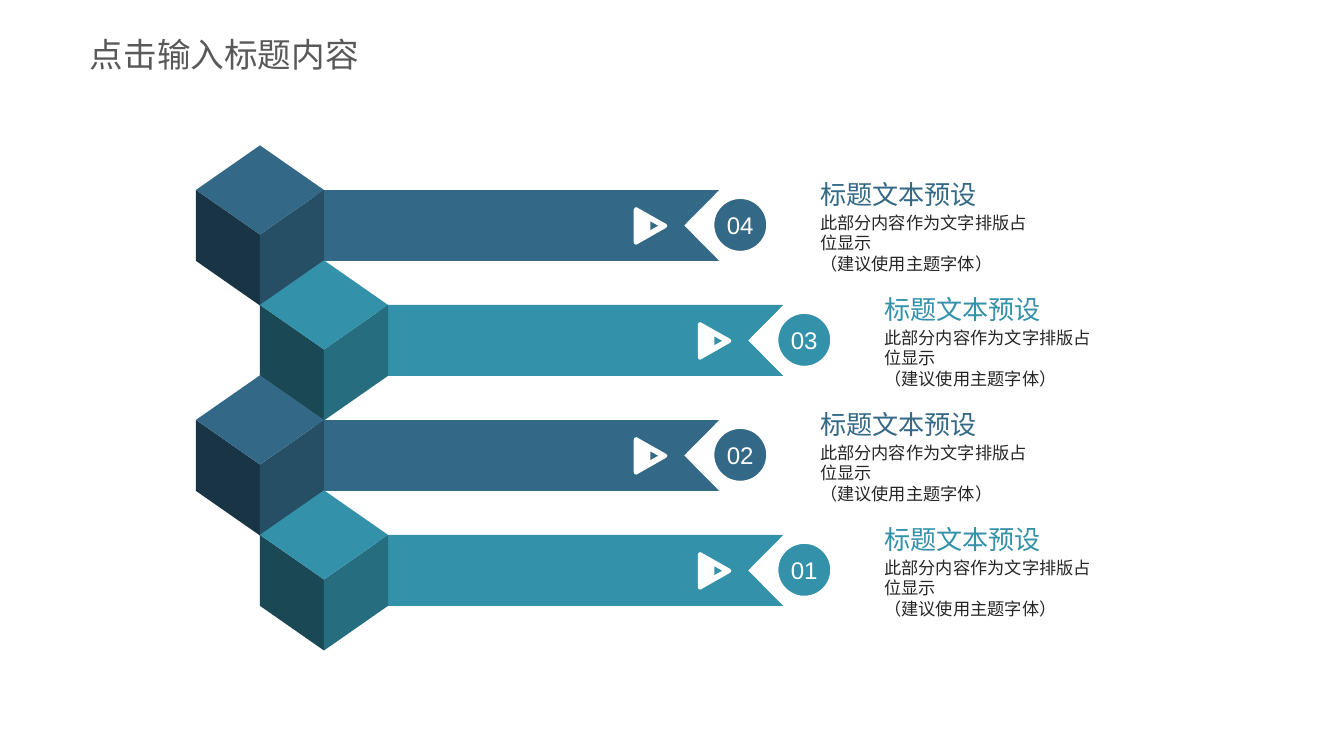
from pptx import Presentation
from pptx.dml.color import RGBColor
from pptx.enum.shapes import MSO_SHAPE
from pptx.enum.text import MSO_ANCHOR, PP_ALIGN
from pptx.util import Pt

OVAL = MSO_SHAPE.OVAL
MID, TOP = MSO_ANCHOR.MIDDLE, MSO_ANCHOR.TOP
LEFT, CENTER = PP_ALIGN.LEFT, PP_ALIGN.CENTER

BLUE = ("336987", "193444", "264F65")
TEAL = ("3391AA", "1A4855", "266D80")
WHITE, DARK, GRAY = "FFFFFF", "262626", "595959"
HEAD = "标题文本预设"
BODY = "此部分内容作为文字排版占位显示\v（建议使用主题字体）"
PLAY = [(1.4, 20.2), (0.4, 19.9), (0, 18.8), (0, 1.4), (0.5, 0.4), (1.5, 0.1),
        (17.4, 9.1), (18, 10.1), (17.4, 11.1)]
ARROW = [(0, 0), (4.1, 2.3), (0, 4.6)]
ROWS = [("04", BLUE), ("03", TEAL), ("02", BLUE), ("01", TEAL)]
HALF, RISE, TALL = 34.3, 23.9, 38
PITCH = 61.6


def tint(code):
    return RGBColor.from_string(code)


class Deck:
    font = "Arial"

    def __init__(self, prs):
        self.slide = prs.slides.add_slide(prs.slide_layouts[6])
        self.shapes = self.slide.shapes

    def style(self, item, **values):
        for name, value in values.items():
            setattr(item, name, value)

    def fill_text(self, shape, text, size, color, anchor=MID, align=LEFT,
                  pad=(0, 0), wrap=True):
        frame = shape.text_frame
        side, edge = map(Pt, pad)
        self.style(frame, word_wrap=wrap, vertical_anchor=anchor,
                   margin_left=side, margin_right=side,
                   margin_top=edge, margin_bottom=edge)
        frame.text = text
        para = frame.paragraphs[0]
        para.alignment = align
        for run in para.runs:
            self.style(run.font, name=self.font, size=Pt(size))
            run.font.color.rgb = tint(color)

    def paint(self, shape, fill):
        shape.shadow.inherit = False
        shape.fill.solid()
        shape.fill.fore_color.rgb = tint(fill)
        shape.line.fill.background()

    def poly(self, x, y, dots, fill):
        first, *rest = [(Pt(x + a), Pt(y + b)) for a, b in dots]
        pen = self.shapes.build_freeform(*first, scale=1.0)
        pen.add_line_segments(rest, close=True)
        self.paint(pen.convert_to_shape(), fill)

    def disc(self, x, y, size, text, fill):
        shape = self.shapes.add_shape(OVAL, Pt(x), Pt(y), Pt(size), Pt(size))
        self.paint(shape, fill)
        shape.line.color.rgb = tint(WHITE)
        shape.line.width = Pt(1)
        self.fill_text(shape, text, 12.9, WHITE, align=CENTER, wrap=False)

    def label(self, x, y, wide, high, *args, **values):
        box = self.shapes.add_textbox(Pt(x), Pt(y), Pt(wide), Pt(high))
        self.fill_text(box, *args, **values)

    def cube(self, x, y, tones):
        face, dark, side = tones
        for start, color in ((0, dark), (2 * HALF, side)):
            self.poly(x, y, [(HALF, RISE + TALL), (start, TALL), (start, 0),
                             (HALF, RISE)], color)
        self.poly(x, y, [(0, 0), (HALF, RISE), (2 * HALF, 0), (HALF, -RISE)], face)

    def row(self, x, y, text, tones):
        face = tones[0]
        self.poly(x, y, [(63, 0), (280.3, 0), (261.5, TALL / 2), (280.3, TALL),
                         (63, TALL)], face)
        self.disc(x + 277.2, y + 4.3, 28.8, text, face)
        self.cube(x, y, tones)
        self.poly(x + 234.5, y + 9.1, PLAY, WHITE)
        self.poly(x + 243.4, y + 16.9, ARROW, face)
        self.label(x + 306.3, y - 6.6, 170, 18, HEAD, 14, face, pad=(28, 0))
        self.label(x + 306.3, y + 11.8, 170, 33, BODY, 9.2, DARK,
                   anchor=TOP, pad=(28, 0))


def main():
    prs = Presentation()
    prs.slide_width, prs.slide_height = Pt(720), Pt(405)
    deck = Deck(prs)
    for i, (text, tones) in enumerate(ROWS):
        deck.row(105 + i % 2 * HALF, 101.8 + i * PITCH, text, tones)
    deck.label(48.2, 13.7, 168, 30.2, "点击输入标题内容", 18, GRAY, pad=(0, 3.6))
    prs.save("out.pptx")


if __name__ == "__main__":
    main()
